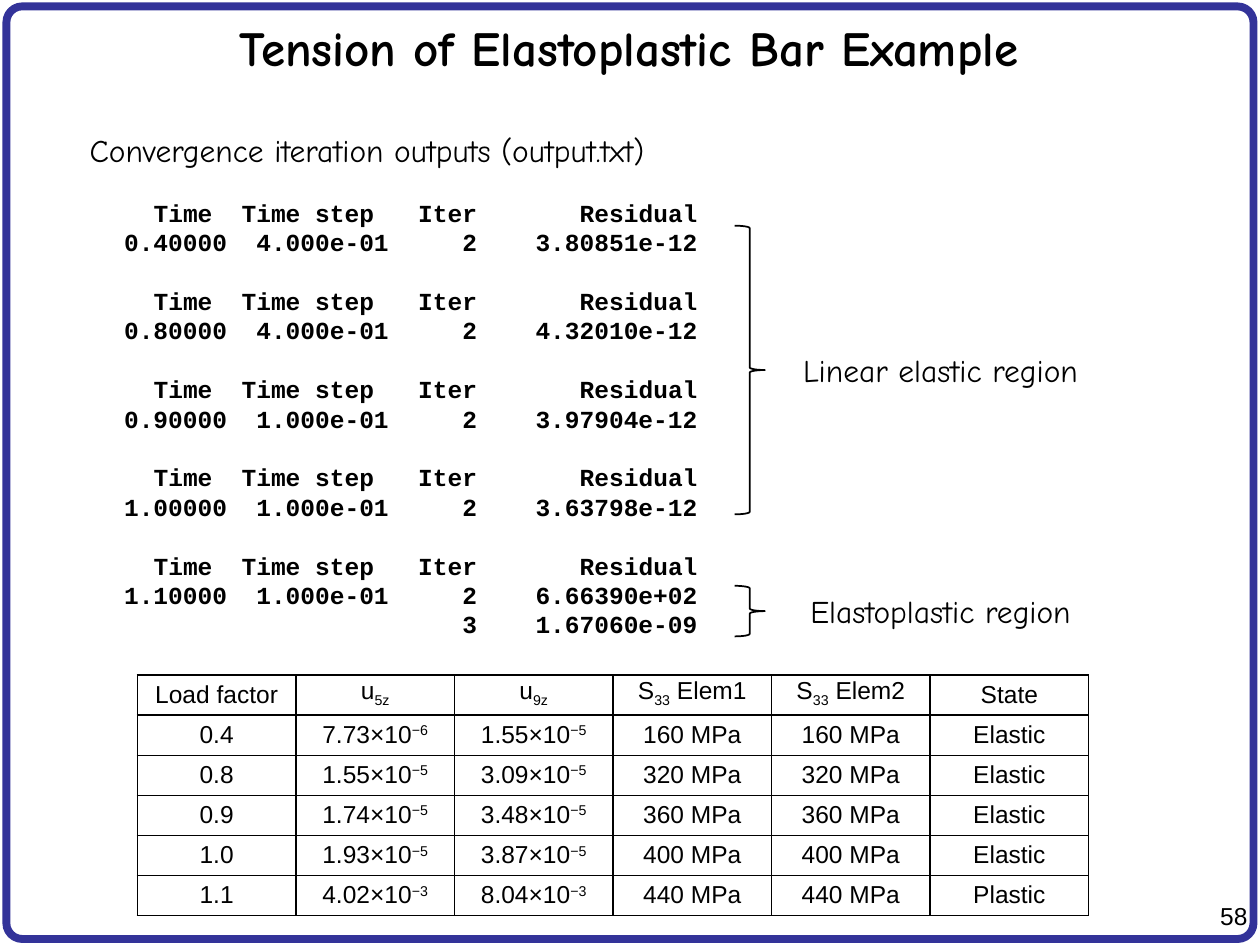
from dataclasses import dataclass

from lxml import etree
from pptx import Presentation
from pptx.dml.color import RGBColor
from pptx.enum import shapes, text
from pptx.oxml import ns
from pptx.util import Cm, Pt

COLORS = {"ink": "000000", "frame": "333399"}
HAND, MONO, SANS = "Comic Neue", "Courier New", "Arial"
CENTER, RIGHT = text.PP_ALIGN.CENTER, text.PP_ALIGN.RIGHT
CHAR = 0.6 * 14  # advance of one monospaced character, points
LINE = 16.8  # output line pitch, points


@dataclass
class Box:
    left: float
    top: float
    width: float
    height: float

    def lengths(self) -> list:
        return [Cm(v) for v in (self.left, self.top, self.width, self.height)]


@dataclass
class Label:
    words: str
    box: Box
    size: int = 18
    face: str = HAND
    align: text.PP_ALIGN = CENTER


@dataclass
class Step:
    time: str
    increment: str
    iterations: list


def style(run, face: str, size: int, bold: bool = False) -> None:
    for name, value in {"name": face, "size": Pt(size), "bold": bold}.items():
        setattr(run.font, name, value)
    run.font.color.rgb = RGBColor.from_string(COLORS["ink"])


def add_outline(slide, kind, box: Box, color: str, weight: float):
    outline = slide.shapes.add_shape(kind, *box.lengths())
    outline.shadow.inherit = False
    outline.fill.background()
    outline.line.color.rgb = RGBColor.from_string(COLORS[color])
    outline.line.width = Pt(weight)
    return outline


def add_label(slide, label: Label) -> None:
    frame = slide.shapes.add_textbox(*label.box.lengths()).text_frame
    frame.word_wrap = False
    line = frame.paragraphs[0]
    line.alignment = label.align
    run = line.add_run()
    run.text = label.words
    style(run, label.face, label.size)


def add_output_line(line, fields: list, columns: list, gap: bool) -> None:
    """One output line, each field right-aligned at its character column."""
    line.line_spacing = Pt(LINE)
    line.space_before = Pt(LINE if gap else 0)
    tabs = etree.SubElement(line._p.get_or_add_pPr(), ns.qn("a:tabLst"))
    for column in columns:
        etree.SubElement(tabs, ns.qn("a:tab"), pos=str(Pt(column * CHAR)), algn="r")
    run = line.add_run()
    run.text = "".join("\t" + field for field in fields)
    style(run, MONO, 14, True)


def add_output(slide, box: Box, steps: list) -> None:
    frame = slide.shapes.add_textbox(*box.lengths()).text_frame
    frame.word_wrap = False
    line = frame.paragraphs[0]
    for number, step in enumerate(steps):
        if number:
            line = frame.add_paragraph()
        add_output_line(line, ["Time", "Time step", "Iter", "Residual"],
                        [9, 20, 27, 42], number > 0)
        for order, iteration in enumerate(step.iterations):
            first = order == 0
            fields = ([step.time, step.increment] if first else []) + list(iteration)
            columns = [10, 21, 27, 42] if first else [27, 42]
            add_output_line(frame.add_paragraph(), fields, columns, False)


def add_borders(cell) -> None:
    properties = cell._tc.get_or_add_tcPr()
    for side in ("lnL", "lnR", "lnT", "lnB"):
        border = etree.SubElement(properties, ns.qn("a:" + side), w=str(Pt(1)))
        fill = etree.SubElement(border, ns.qn("a:solidFill"))
        etree.SubElement(fill, ns.qn("a:srgbClr"), val=COLORS["ink"])


def fill_cell(cell, words: str, shift: int) -> None:
    """Every second part between bars is raised or lowered by shift percent."""
    layout = {"margin_left": Cm(0.18), "margin_right": Cm(0.18), "margin_top": 0,
              "margin_bottom": 0, "vertical_anchor": text.MSO_ANCHOR.MIDDLE}
    for name, value in layout.items():
        setattr(cell, name, value)
    add_borders(cell)
    cell.fill.background()
    line = cell.text_frame.paragraphs[0]
    line.alignment = CENTER
    line.line_spacing = Pt(15)
    for order, part in enumerate(words.split("|")):
        run = line.add_run()
        run.text = part
        style(run, SANS, 14)
        if order % 2:
            run._r.get_or_add_rPr().set("baseline", str(shift * 1000))


def add_results(slide, box: Box, rows: list) -> None:
    results = slide.shapes.add_table(len(rows), len(rows[0]), *box.lengths()).table
    results.first_row = results.horz_banding = False
    for row, values in enumerate(rows):
        results.rows[row].height = Cm(box.height / len(rows))
        for column, words in enumerate(values):
            fill_cell(results.cell(row, column), words, 30 if row else -25)


STEPS = [
    Step("0.40000", "4.000e-01", [("2", "3.80851e-12")]),
    Step("0.80000", "4.000e-01", [("2", "4.32010e-12")]),
    Step("0.90000", "1.000e-01", [("2", "3.97904e-12")]),
    Step("1.00000", "1.000e-01", [("2", "3.63798e-12")]),
    Step("1.10000", "1.000e-01", [("2", "6.66390e+02"), ("3", "1.67060e-09")]),
]
LABELS = [
    Label("Convergence iteration outputs (output.txt)", Box(0.76, 2.51, 13.28, 1.02)),
    Label("Linear elastic region", Box(15.67, 6.96, 6.58, 1.02)),
    Label("Elastoplastic region", Box(15.77, 11.81, 6.38, 1.02)),
    Label("58", Box(24.03, 18.03, 1.37, 0.84), 14, SANS, RIGHT),
]
BRACES = [Box(14.81, 4.55, 0.61, 5.82), Box(14.81, 11.81, 0.61, 1.02)]
RESULTS = [
    ["Load factor", "u|5z", "u|9z", "S|33| Elem1", "S|33| Elem2", "State"],
    *([load, f"{u5}×10|−{power}", f"{u9}×10|−{power9}", f"{stress} MPa",
       f"{stress} MPa", state]
      for load, u5, power, u9, power9, stress, state in [
          ("0.4", "7.73", 6, "1.55", 5, 160, "Elastic"),
          ("0.8", "1.55", 5, "3.09", 5, 320, "Elastic"),
          ("0.9", "1.74", 5, "3.48", 5, 360, "Elastic"),
          ("1.0", "1.93", 5, "3.87", 5, 400, "Elastic"),
          ("1.1", "4.02", 3, "8.04", 3, 440, "Plastic"),
      ]),
]


def main() -> None:
    deck = Presentation()
    deck.slide_width, deck.slide_height = Cm(25.4), Cm(19.05)
    slide = deck.slides.add_slide(deck.slide_layouts[5])

    # Frame around the slide
    border = add_outline(slide, shapes.MSO_SHAPE.ROUNDED_RECTANGLE,
                         Box(0.13, 0.13, 25.14, 18.8), "frame", 4.5)
    border.adjustments[0] = 0.017

    # Title
    title = slide.shapes.title
    title.left, title.top, title.width, title.height = Box(0.1, 0.13, 25.15, 1.65).lengths()
    title.text_frame.vertical_anchor = text.MSO_ANCHOR.MIDDLE
    heading = title.text_frame.paragraphs[0]
    heading.alignment = CENTER
    run = heading.add_run()
    run.text = "Tension of Elastoplastic Bar Example"
    style(run, HAND, 28, True)

    # Solver output with its two regions
    add_output(slide, Box(1.37, 3.86, 13.34, 9.25), STEPS)
    for brace in BRACES:
        add_outline(slide, shapes.MSO_SHAPE.RIGHT_BRACE, brace, "ink", 1)
    for label in LABELS:
        add_label(slide, label)

    # Results table
    add_results(slide, Box(2.77, 13.61, 19.18, 4.85), RESULTS)
    deck.save("out.pptx")


if __name__ == "__main__":
    main()
